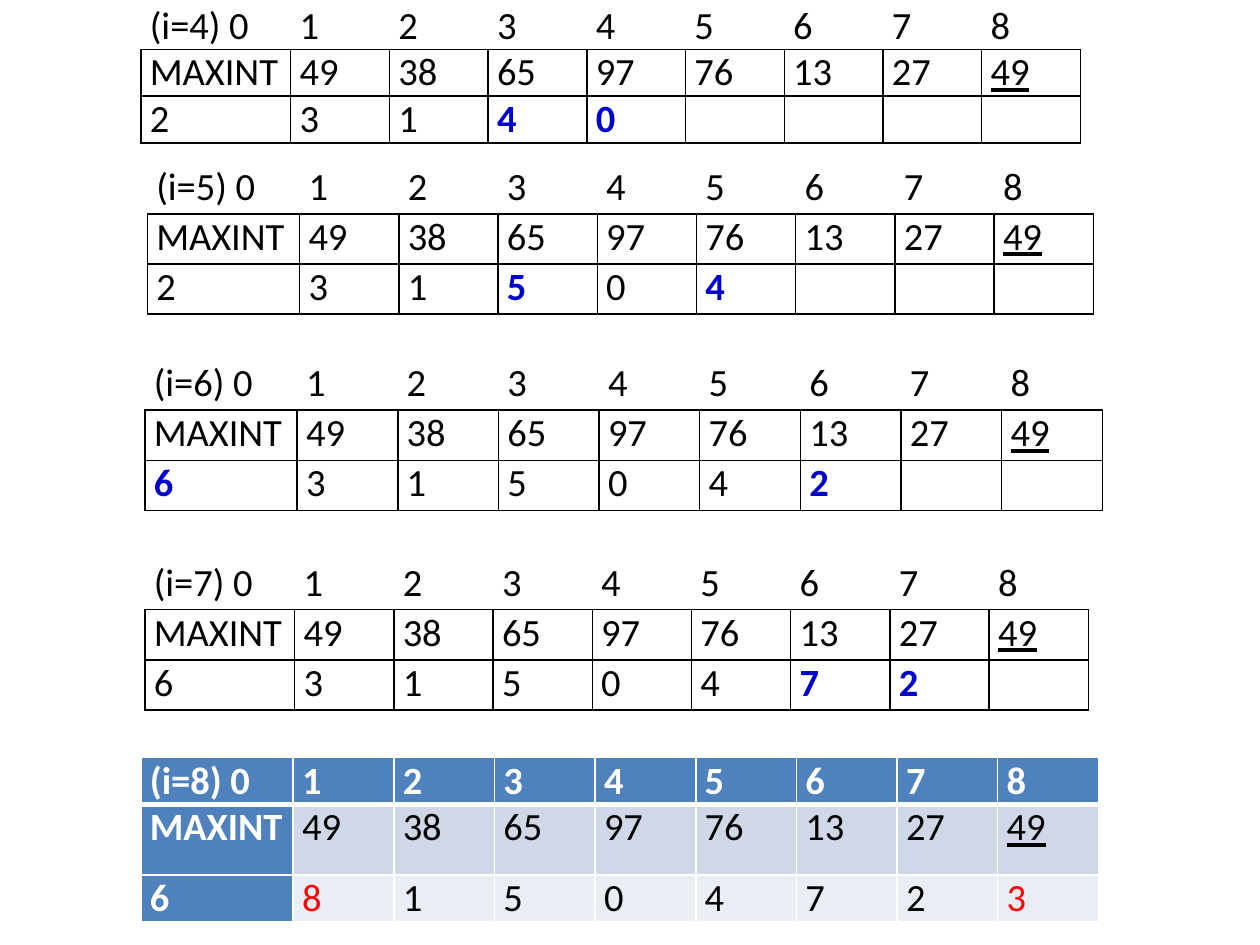
from lxml import etree
from pptx import Presentation
from pptx.dml.color import RGBColor
from pptx.enum import text
from pptx.oxml import ns
from pptx.util import Cm, Pt

# Content: sort keys and the link row after each step
KEYS = ["MAXINT", "49", "38", "65", "97", "76", "13", "27", "49"]
LINKS = {  # step: (links, columns changed in this step)
    4: ("2 3 1 4 0", (3, 4)),
    5: ("2 3 1 5 0 4", (3, 5)),
    6: ("6 3 1 5 0 4 2", (0, 6)),
    7: ("6 3 1 5 0 4 7 2", (6, 7)),
    8: ("6 8 1 5 0 4 7 2 3", (1, 8)),
}

# Places in cm, back to front: step, left, top, first column, other columns, rows
PLACES = [
    (8, 2.84, 15.27, 3.07, 2.03, (0.94, 1.42, 0.94)),
    (5, 2.97, 3.3, 3.07, 2.0, (1.01,) * 3),
    (7, 2.92, 11.28, 3.02, 2.0, (1.01,) * 3),
    (6, 2.92, 7.26, 3.07, 2.03, (1.01,) * 3),
    (4, 2.84, 0.05, 3.02, 1.99, (0.94,) * 3),
]

THEME = dict(
    font="Calibri", size=22, inset=0.18, ink="000000", paper="FFFFFF",
    blue="0000CC", red="FF0000", head="4F81BD", bands=("D0D8E8", "E9EDF4"),
)


def rule(cell, side, color=None, width=1):
    """Draw one cell edge, or hide it when no colour is given."""
    props = cell._tc.get_or_add_tcPr()
    line = etree.Element(ns.qn("a:ln" + side), w=str(Pt(width)))
    if color:
        fill = etree.SubElement(line, ns.qn("a:solidFill"))
        etree.SubElement(fill, ns.qn("a:srgbClr"), val=color)
    else:
        etree.SubElement(line, ns.qn("a:noFill"))
    props.insert("LRTB".index(side), line)


def write(cell, word, color, bold, under):
    cell.margin_left = cell.margin_right = Cm(THEME["inset"])
    cell.margin_top = cell.margin_bottom = 0
    cell.text = word
    para = cell.text_frame.paragraphs[0]
    para.alignment = text.PP_ALIGN.JUSTIFY
    font = para.font
    font.name, font.size = THEME["font"], Pt(THEME["size"])
    font.bold, font.underline = bold, under
    font.color.rgb = RGBColor.from_string(color)


def dress(cell, row, col, final):
    """Fill and edges: a coloured last table, plain grids before it."""
    if final:
        shade = THEME["head"] if row * col == 0 else THEME["bands"][row - 1]
        cell.fill.solid()
        cell.fill.fore_color.rgb = RGBColor.from_string(shade)
    else:
        cell.fill.background()
    for side in "LRTB":
        if final:
            thick = (row, side) in ((0, "B"), (1, "T"))
            rule(cell, side, THEME["paper"], 3 if thick else 1)
        else:
            shown = row > 0 or side == "B"
            rule(cell, side, THEME["ink"] if shown else None)


def build(slide, step, left, top, first, other, rows):
    links, marks = LINKS[step]
    links = links.split()
    count = len(KEYS)
    final = step == max(LINKS)
    heads = [f"(i={step}) 0"] + [str(n) for n in range(1, count)]
    lines = [heads, KEYS, links + [""] * (count - len(links))]
    table = slide.shapes.add_table(
        len(lines), count, Cm(left), Cm(top),
        Cm(first + other * (count - 1)), Cm(sum(rows))).table
    table.first_row = table.first_col = final
    table.horz_banding = final
    for col in range(count):
        table.columns[col].width = Cm(other if col else first)
    for row, line in enumerate(lines):
        table.rows[row].height = Cm(rows[row])
        for col, word in enumerate(line):
            cell = table.cell(row, col)
            mark = row == 2 and col in marks
            head = final and row * col == 0
            color = THEME["paper"] if head else THEME["ink"]
            if mark:
                color = THEME["red" if final else "blue"]
            write(cell, word, color, bold=head or (mark and not final),
                  under=row == 1 and col == count - 1)
            dress(cell, row, col, final)


def main():
    deck = Presentation()
    deck.slide_width, deck.slide_height = Cm(25.4), Cm(19.05)
    slide = deck.slides.add_slide(deck.slide_layouts[6])
    for place in PLACES:
        build(slide, *place)
    deck.save("out.pptx")


if __name__ == "__main__":
    main()
